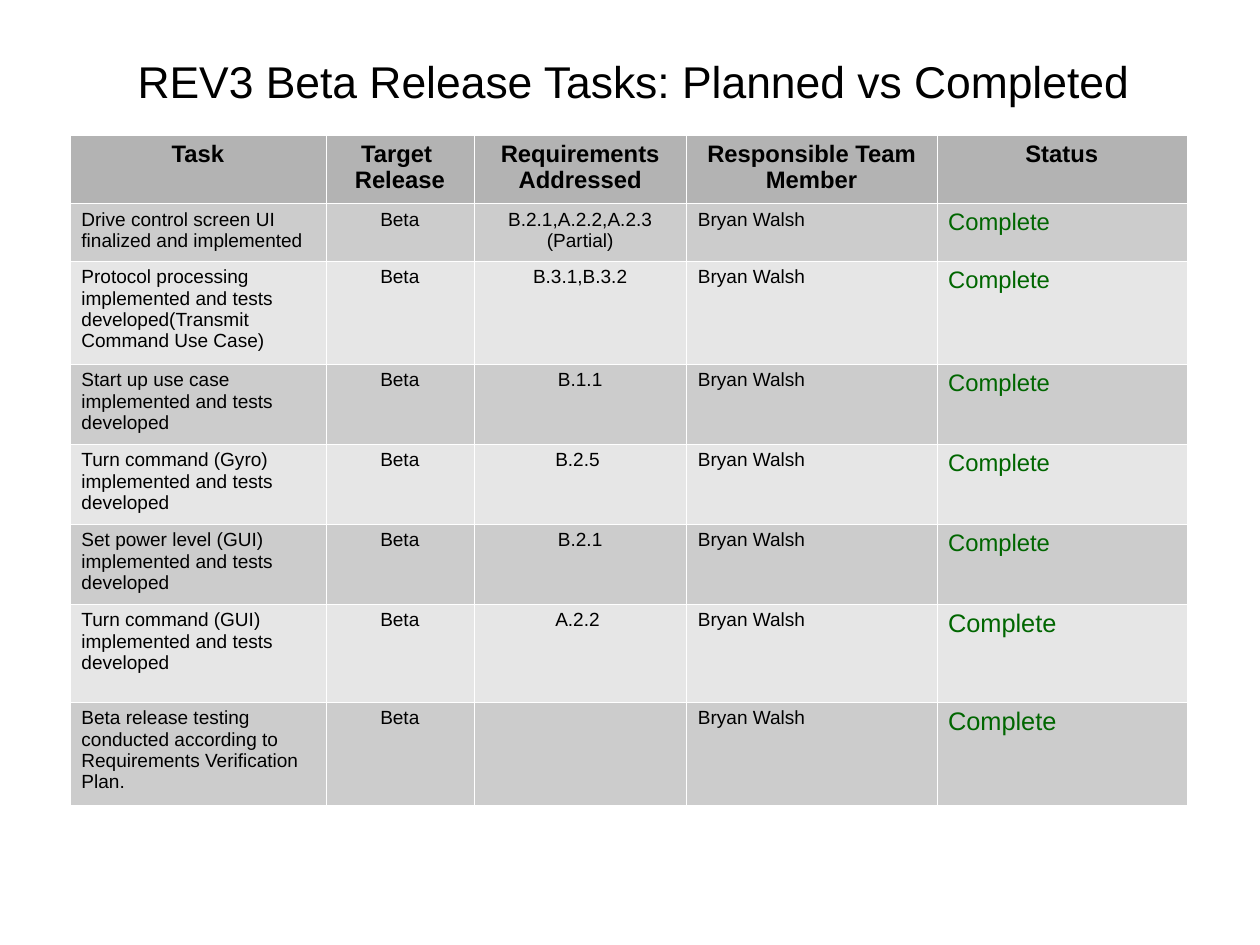
from dataclasses import dataclass

from lxml.etree import SubElement
from pptx import Presentation
from pptx.dml.color import RGBColor
from pptx.enum.text import MSO_ANCHOR, PP_ALIGN
from pptx.oxml.ns import qn
from pptx.util import Pt


@dataclass(frozen=True)
class Theme:
    """Colours, type sizes and line width of the slide."""

    font: str = "Arial"
    text: str = "000000"
    done: str = "006600"
    header_fill: str = "B3B3B3"
    band_fills: tuple = ("CCCCCC", "E6E6E6")
    border: str = "FFFFFF"
    border_width: float = 0.06
    title_size: int = 28
    header_size: int = 15
    body_size: int = 12


THEME = Theme()
HEADERS = ["Task", "Target \nRelease", "Requirements Addressed",
           "Responsible Team Member", "Status"]
RELEASE, MEMBER, STATUS = "Beta", "Bryan Walsh", "Complete"
TASKS = [
    ("Drive control screen UI finalized and implemented",
     "B.2.1,A.2.2,A.2.3 (Partial)", 36.2, 15),
    ("Protocol processing implemented and tests developed"
     "(Transmit Command Use Case)", "B.3.1,B.3.2", 64.8, 15),
    ("Start up use case implemented and tests developed", "B.1.1", 50.4, 15),
    ("Turn command (Gyro) implemented and tests developed", "B.2.5 ", 50.4, 15),
    ("Set power level (GUI) implemented and tests developed", "B.2.1", 50.4, 15),
    ("Turn command (GUI) implemented and tests developed", "A.2.2 ", 61.7, 16),
    ("Beta release testing conducted according to Requirements "
     "Verification Plan.", "", 64.8, 16),
]
COLUMN_WIDTHS = [161.2, 93.2, 134, 157.6, 157.6]
HEADER_HEIGHT = 42.7
LEFT, CENTER = PP_ALIGN.LEFT, PP_ALIGN.CENTER
ALIGNMENTS = [LEFT, CENTER, CENTER, LEFT, LEFT]


def write_text(tf, text, size, color=THEME.text, align=LEFT, bold=False):
    """Fill a text frame and format all of its runs."""
    tf.text = text
    for p in tf.paragraphs:
        p.alignment = align
        for r in p.runs:
            r.font.name = THEME.font
            r.font.size = Pt(size)
            r.font.bold = bold
            r.font.color.rgb = RGBColor.from_string(color)


def add_title(s, text):
    """Add the centred slide title."""
    tf = s.shapes.add_textbox(Pt(41.7), Pt(1), Pt(714.2), Pt(99.4)).text_frame
    tf.word_wrap = True
    tf.vertical_anchor = MSO_ANCHOR.MIDDLE
    tf.margin_left = tf.margin_right = tf.margin_top = tf.margin_bottom = 0
    write_text(tf, text, THEME.title_size, align=CENTER)


def paint_cell(cell, fill):
    """Give a cell its thin borders and its fill."""
    tc_pr = cell._tc.get_or_add_tcPr()
    for side in ("a:lnL", "a:lnR", "a:lnT", "a:lnB"):
        line = SubElement(tc_pr, qn(side), w=str(Pt(THEME.border_width)))
        SubElement(SubElement(line, qn("a:solidFill")), qn("a:srgbClr"),
                   val=THEME.border)
    cell.fill.solid()
    cell.fill.fore_color.rgb = RGBColor.from_string(fill)


def add_task_table(s):
    """Add the table of tasks with its header row."""
    heights = [HEADER_HEIGHT] + [height for _, _, height, _ in TASKS]
    table = s.shapes.add_table(
        len(heights), len(HEADERS), Pt(44.1), Pt(84.9),
        Pt(sum(COLUMN_WIDTHS)), Pt(sum(heights))).table
    for column, width in zip(table.columns, COLUMN_WIDTHS):
        column.width = Pt(width)
    for row, height in zip(table.rows, heights):
        row.height = Pt(height)
    for cell, header in zip(table.rows[0].cells, HEADERS):
        paint_cell(cell, THEME.header_fill)
        write_text(cell.text_frame, header, THEME.header_size,
                   align=CENTER, bold=True)
    for i, (task, requirements, _, status_size) in enumerate(TASKS):
        cells = list(table.rows[i + 1].cells)
        texts = [task, RELEASE, requirements, MEMBER]
        for cell, text, align in zip(cells, texts, ALIGNMENTS):
            write_text(cell.text_frame, text, THEME.body_size, align=align)
        write_text(cells[-1].text_frame, STATUS, status_size, THEME.done)
        for cell in cells:
            paint_cell(cell, THEME.band_fills[i % 2])


def main():
    """Build the slide and save it."""
    prs = Presentation()
    prs.slide_width, prs.slide_height = Pt(793.7), Pt(595.28)
    s = prs.slides.add_slide(prs.slide_layouts[6])
    add_title(s, "REV3 Beta Release Tasks: Planned vs Completed")
    add_task_table(s)
    prs.save("out.pptx")


if __name__ == "__main__":
    main()
